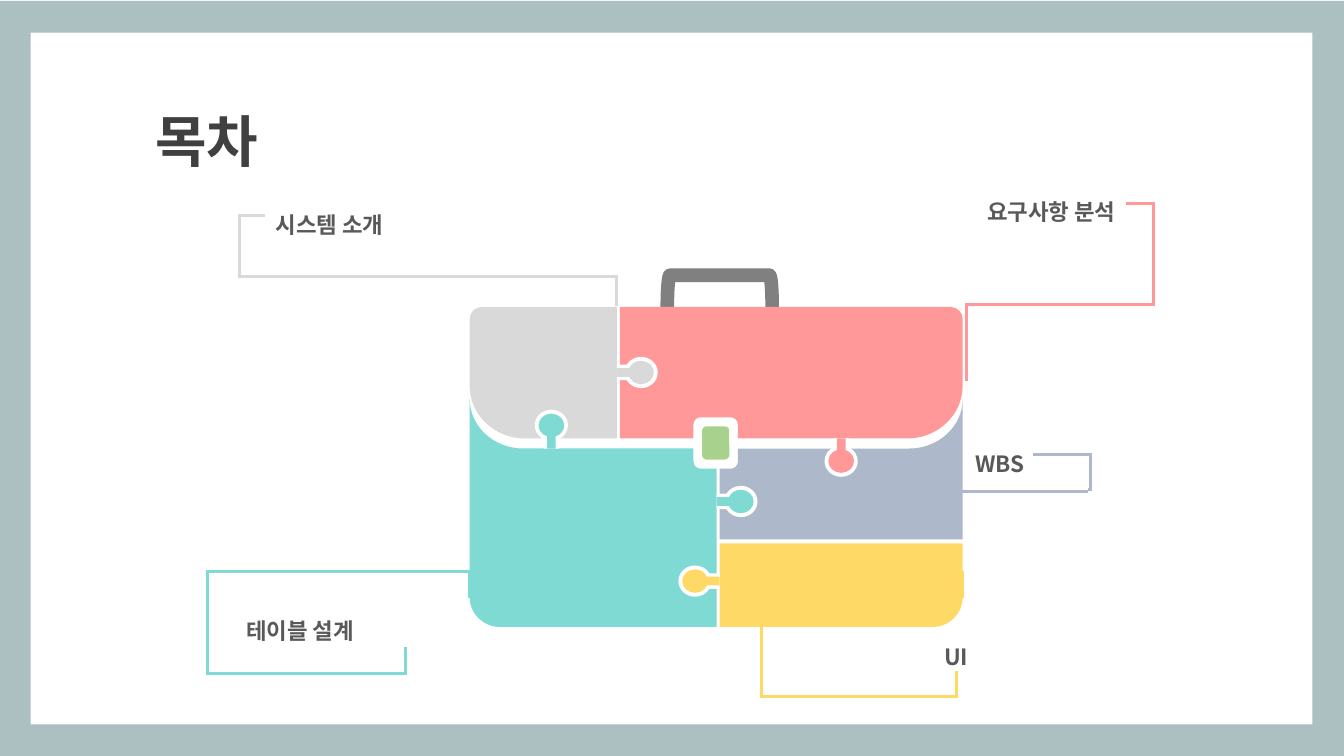
from dataclasses import dataclass
from math import asin, atan2, cos, dist, pi, sin, tan

from lxml import etree
from pptx import Presentation
from pptx.dml.color import RGBColor
from pptx.enum.shapes import MSO_CONNECTOR, MSO_SHAPE
from pptx.enum.text import MSO_ANCHOR, MSO_AUTO_SIZE, PP_ALIGN
from pptx.oxml.ns import qn
from pptx.util import Inches, Pt

FRAME, BRACKET = MSO_SHAPE.FRAME, MSO_SHAPE.LEFT_BRACKET
ROUND = MSO_SHAPE.ROUNDED_RECTANGLE
ELBOW, STRAIGHT = MSO_CONNECTOR.ELBOW, MSO_CONNECTOR.STRAIGHT
LEFT, CENTER, RIGHT = PP_ALIGN.LEFT, PP_ALIGN.CENTER, PP_ALIGN.RIGHT
TOP, GROW = MSO_ANCHOR.TOP, MSO_AUTO_SIZE.SHAPE_TO_FIT_TEXT

WHITE = RGBColor(0xFF, 0xFF, 0xFF)
SAGE = RGBColor(0xAC, 0xC0, 0xC1)
STEEL = RGBColor(0x80, 0x80, 0x80)
SILVER = RGBColor(0xD9, 0xD9, 0xD9)
CORAL = RGBColor(0xFF, 0x99, 0x99)
TEAL = RGBColor(0x7F, 0xDA, 0xD4)
BLUE = RGBColor(0xAD, 0xB9, 0xCA)
YELLOW = RGBColor(0xFF, 0xD9, 0x66)
GREEN = RGBColor(0xA9, 0xD1, 0x8E)
DARK = RGBColor(0x40, 0x40, 0x40)
GREY = RGBColor(0x59, 0x59, 0x59)

FONT = "Noto Sans CJK KR"
CELL = Inches(0.1)
COLS, ROWS = 133.33, 75
CURVE = 0.55
Point = tuple[float, float]
Parts = list[list[Point]]


@dataclass
class Panel:
    tone: RGBColor
    corners: list[tuple[float, ...]]


@dataclass
class Knob:
    tone: RGBColor
    base: Point
    head: Point


@dataclass
class Label:
    text: str
    box: tuple[float, float, float, float]
    align: PP_ALIGN = LEFT


@dataclass
class Lead:
    tone: RGBColor
    points: list[Point]


PANELS = [
    Panel(SILVER, [(46.6, 30.45, 1.2, 1.2), (61.2, 30.45), (61.2, 43.5),
                   (46.6, 43.5, 5.5, 5.2)]),
    Panel(CORAL, [(61.5, 30.45), (95.5, 30.45, 1.2, 1.2), (95.5, 43.5, 5.2, 5.5),
                  (73.2, 43.5), (73.2, 41.4, 0.7, 0.7), (68.8, 41.4, 0.7, 0.7),
                  (68.8, 43.5), (61.5, 43.5)]),
    Panel(TEAL, [(46.6, 39.6), (46.6, 44.5, 4.9, 5.3), (68.8, 44.5),
                 (68.8, 46.5, 0.7, 0.7), (71.1, 46.5), (71.1, 62.2),
                 (46.6, 62.2, 3, 2.9)]),
    Panel(BLUE, [(95.5, 39.6), (95.5, 53.5), (71.4, 53.5), (71.4, 46.5),
                 (73.2, 46.5, 0.7, 0.7), (73.2, 44.5), (95.5, 44.5, 5.3, 4.9)]),
    Panel(YELLOW, [(71.4, 53.9), (95.5, 53.9), (95.5, 62.2, 2.9, 3), (71.4, 62.2)]),
]
KNOBS = [
    Knob(TEAL, (54.7, 44.5), (54.7, 42.2)),
    Knob(TEAL, (71.1, 49.75), (73.5, 49.75)),
    Knob(CORAL, (83.45, 43.5), (83.45, 45.75)),
    Knob(SILVER, (61.2, 36.95), (63.6, 36.95)),
    Knob(YELLOW, (71.4, 57.65), (68.95, 57.65)),
]
LABELS = [
    Label("요구사항 분석", (78.05, 17.8, 33.6, 4.8), RIGHT),
    Label("UI", (78.05, 62, 33.6, 4.5), CENTER),
    Label("테이블 설계", (23.45, 59.4, 33.6, 4.8)),
    Label("시스템 소개", (26.35, 19.1, 26.7, 4.5)),
    Label("WBS", (95.8, 42.85, 37.3, 4.5)),
]
LEADS = [
    Lead(SILVER, [(61.2, 30.4), (61.2, 27.4), (23.8, 27.4), (23.8, 21.4), (26.3, 21.4)]),
    Lead(TEAL, [(46.6, 59.3), (46.6, 56.7), (20.6, 56.7), (20.6, 66.8), (40.2, 66.8),
                (40.2, 64.2)]),
    Lead(YELLOW, [(95.5, 59.3), (95.5, 56.8), (75.5, 56.8), (75.5, 69.1), (94.9, 69.1),
                  (94.9, 66.6)]),
    Lead(CORAL, [(95.85, 37.8), (95.85, 30.2), (114.4, 30.2), (114.4, 20.2), (111.7, 20.2)]),
    Lead(BLUE, [(95.2, 48.8), (107.9, 48.8)]),
    Lead(BLUE, [(107.9, 48.6), (108.2, 48.6), (108.2, 45.1), (102.5, 45.1)]),
]


def grid(*cells: float) -> list[int]:
    return [round(cell * CELL) for cell in cells]


def toward(start: Point, goal: Point, length: float) -> Point:
    share = length / dist(start, goal)
    return tuple(a + (b - a) * share for a, b in zip(start, goal))


def trace(corners: list[tuple[float, ...]]) -> Parts:
    parts = []
    for i, (x, y, *cut) in enumerate(corners):
        if not cut:
            parts.append([(x, y)])
            continue
        spot = (x, y)
        first = toward(spot, corners[i - 1][:2], cut[0])
        last = toward(spot, corners[(i + 1) % len(corners)][:2], cut[1])
        parts.append([first])
        parts.append([toward(first, spot, cut[0] * CURVE),
                      toward(last, spot, cut[1] * CURVE), last])
    return parts


def bulb(knob: Knob, wide: float, high: float, half: float) -> Parts:
    (bx, by), (hx, hy) = knob.base, knob.head
    aim = atan2(hy - by, hx - bx)
    sweep = pi - asin(half / (wide if bx == hx else high))

    def spot(turn: float, pull: float = 0) -> Point:
        turn += aim
        return (hx + wide * (cos(turn) - pull * sin(turn)),
                hy + high * (sin(turn) + pull * cos(turn)))

    turns = [-sweep, -pi / 2, 0, pi / 2, sweep]
    parts = [[spot(-sweep)]]
    for start, end in zip(turns, turns[1:]):
        pull = 4 / 3 * tan((end - start) / 4)
        parts.append([spot(start, pull), spot(end, -pull), spot(end)])
    for side in (half, -half):
        parts.append([(bx - side * sin(aim), by + side * cos(aim))])
    return parts


def paint(shape, tone: RGBColor) -> None:
    shape.shadow.inherit = False
    shape.fill.solid()
    shape.fill.fore_color.rgb = tone
    shape.line.fill.background()


def draw(shapes, parts: Parts, tone: RGBColor) -> None:
    spots = [grid(*point) for part in parts for point in part]
    form = shapes.build_freeform(*spots[0], scale=1.0)
    form.add_line_segments(spots[1:], close=True)
    shape = form.convert_to_shape()
    paint(shape, tone)
    lines = iter(list(shape._element.spPr.iter(qn("a:lnTo"))))
    for part in parts[1:]:
        first, *rest = [next(lines) for _ in part]
        if rest:
            first.tag = qn("a:cubicBezTo")
            for line in rest:
                first.append(line[0])
                line.getparent().remove(line)


def write(shape, text: str, size: int, tone: RGBColor, align: PP_ALIGN, space: float) -> None:
    frame = shape.text_frame
    frame.text = text
    frame.word_wrap = True
    frame.auto_size = GROW
    frame.vertical_anchor = TOP
    line = frame.paragraphs[0]
    line.alignment = align
    line.line_spacing = space
    font = line.runs[0].font
    font.size, font.bold, font.name = Pt(size), True, FONT
    font.color.rgb = tone
    latin = line.runs[0]._r.rPr.find(qn("a:latin"))
    latin.addnext(etree.Element(qn("a:ea"), typeface=FONT))


def link(shapes, lead: Lead) -> None:
    points = lead.points
    start, end = points[0], points[-1]
    span = end[0] - start[0], end[1] - start[1]
    mid = (start[0] + end[0]) / 2, (start[1] + end[1]) / 2
    axis = int(points[1][0] == start[0])
    wide, high = abs(span[axis]), abs(span[1 - axis])
    left, top = mid[0] - wide / 2, mid[1] - high / 2
    bends = len(points) - 1
    line = shapes.add_connector(ELBOW if bends > 1 else STRAIGHT,
                                *grid(left, top, left + wide, top + high))
    line.line.color.rgb = lead.tone
    line.line.width = Pt(2.25)
    props = line._element.spPr
    etree.SubElement(props.find(qn("a:ln")), qn("a:miter"), lim="800000")
    etree.SubElement(props, qn("a:effectLst"))
    if bends == 1:
        return
    xfrm = props.find(qn("a:xfrm"))
    if axis:
        xfrm.set("rot", str(270 * 60000))
    xfrm.set("flipH", str(int(span[1] > 0 if axis else span[0] < 0)))
    xfrm.set("flipV", str(int(span[0] < 0 if axis else span[1] < 0)))
    shape = props.find(qn("a:prstGeom"))
    shape.set("prst", f"bentConnector{bends}")
    guides = shape.find(qn("a:avLst"))
    for i in range(1, bends - 1):
        way = axis if i % 2 else 1 - axis
        share = round((points[i][way] - start[way]) / span[way] * 100000)
        etree.SubElement(guides, qn("a:gd"), name=f"adj{i}", fmla=f"val {share}")


def main() -> None:
    deck = Presentation()
    deck.slide_width, deck.slide_height = grid(COLS, ROWS)
    shapes = deck.slides.add_slide(deck.slide_layouts[5]).shapes
    title = shapes.title
    title.left, title.top, title.width, title.height = grid(14.4, 3.4, 46, 12.3)
    write(title, "목차", 40, DARK, LEFT, 2)
    border = shapes.add_shape(FRAME, *grid(-0.1, 0.1, COLS + 0.1, ROWS - 0.1))
    border.adjustments[0] = 0.042
    paint(border, SAGE)
    handle = shapes.add_shape(BRACKET, *grid(69.8, 23.7, 3.2, 10.4))
    handle.rotation = 90
    handle.shadow.inherit = False
    handle.fill.background()
    handle.line.color.rgb = STEEL
    handle.line.width = Pt(9.75)
    for panel in PANELS:
        draw(shapes, trace(panel.corners), panel.tone)
    for knob in KNOBS:
        draw(shapes, bulb(knob, 1.65, 1.55, 0.77), WHITE)
        draw(shapes, bulb(knob, 1.27, 1.16, 0.43), knob.tone)
    paint(shapes.add_shape(ROUND, *grid(69.65, 42.3, 2.7, 3.3)), GREEN)
    for label in LABELS:
        write(shapes.add_textbox(*grid(*label.box)), label.text, 16, GREY, label.align, 1.5)
    for lead in LEADS:
        link(shapes, lead)
    deck.save("out.pptx")


if __name__ == "__main__":
    main()
